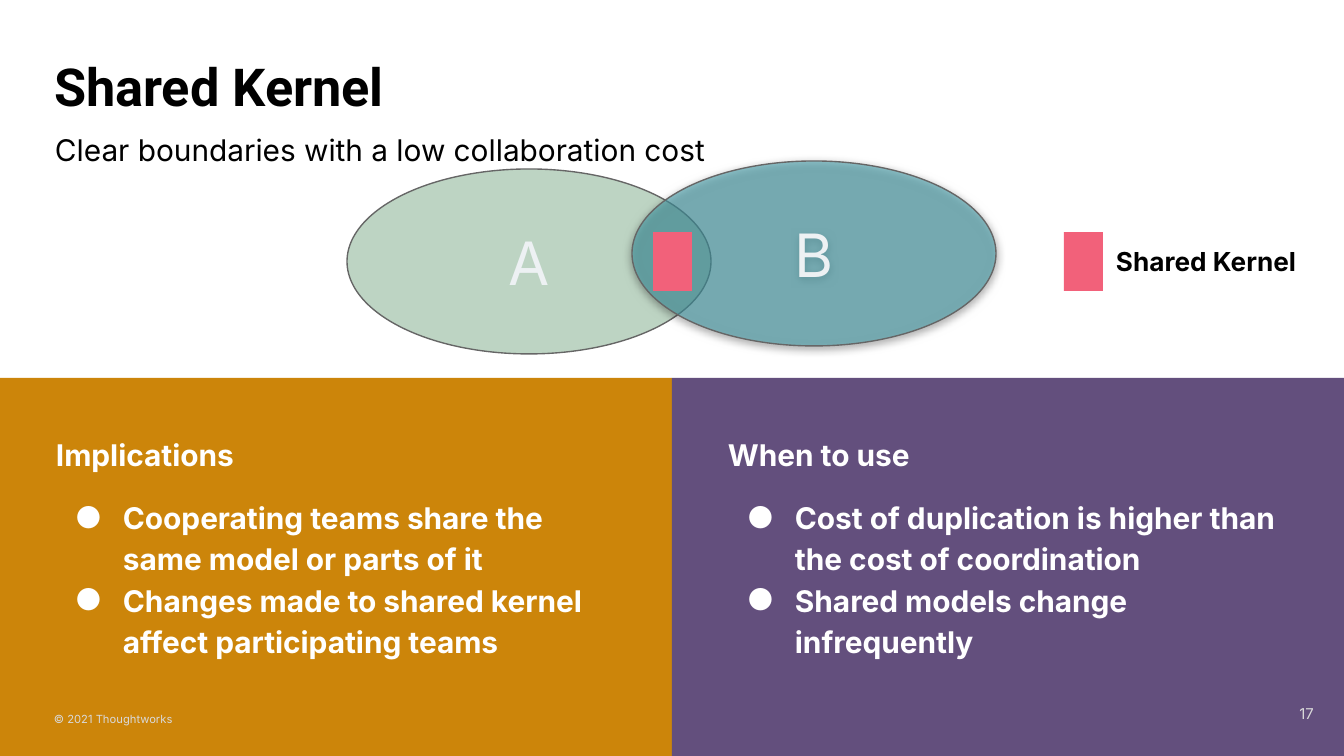
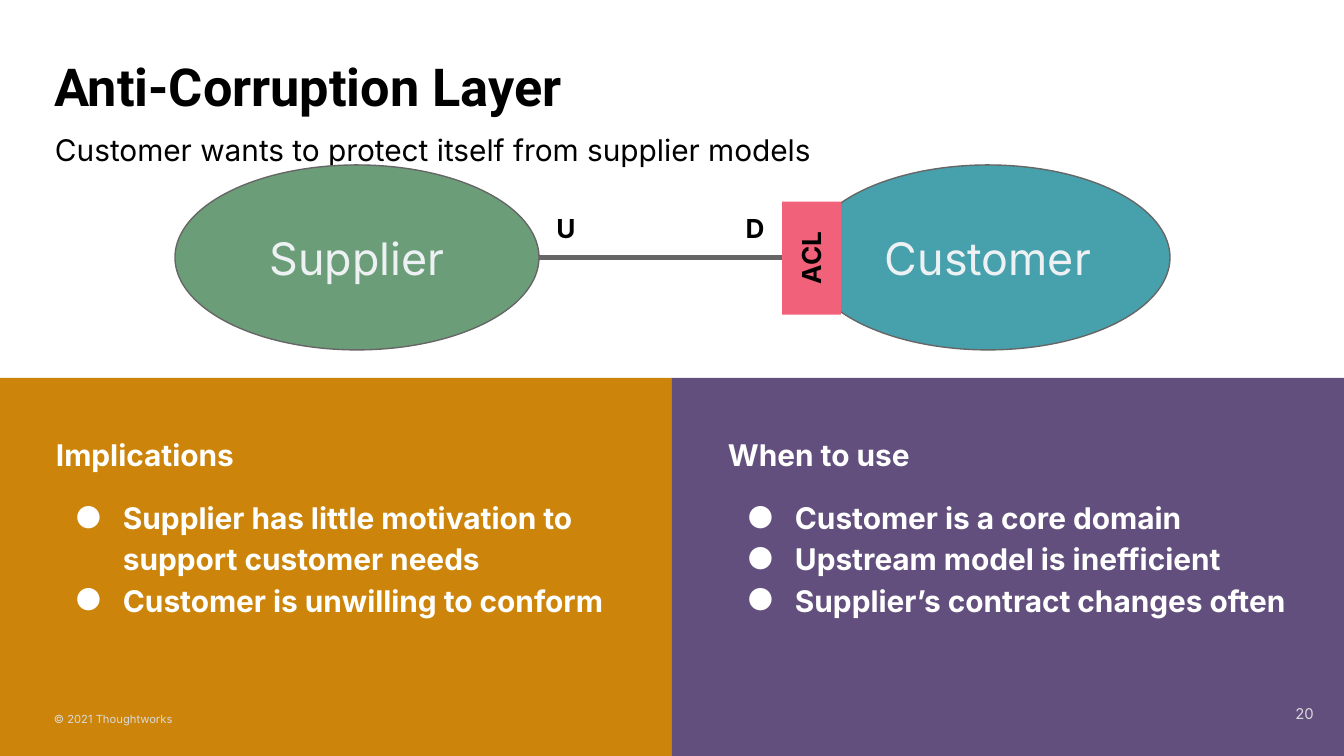
from dataclasses import dataclass

from lxml import etree
from pptx import Presentation
from pptx import util as u
from pptx.dml.color import RGBColor
from pptx.enum import shapes, text
from pptx.oxml.ns import qn

PX_PER_INCH = 134.4
WIDTH, HEIGHT = 1344, 756
BAND_TOP = HEIGHT // 2
INSET = 13
OVAL = (364, 185)
KERNEL = (39, 59)


@dataclass(frozen=True)
class Theme:
    black: str = "000000"
    white: str = "FFFFFF"
    pale: str = "EDF1F3"
    footer: str = "D9D9D9"
    outline: str = "666666"
    amber: str = "CC850A"
    purple: str = "634F7D"
    green: str = "6B9E78"
    teal: str = "47A1AD"
    pink: str = "F2617A"
    heading_font: str = "Roboto"
    body_font: str = "Inter"
    title: int = 28
    letter: int = 32
    name: int = 24
    body: int = 16
    label: int = 14
    number: int = 8
    small: int = 6


THEME = Theme()
ALIGN, ANCHOR = text.PP_ALIGN, text.MSO_ANCHOR


def px(length):
    return u.Emu(round(length * 914400 / PX_PER_INCH))


def apply(target, values):
    for name, value in values.items():
        setattr(target, name, value)


def place(shape, box):
    apply(shape, dict(zip(("left", "top", "width", "height"), map(px, box))))


def within(box, left, top, width, height):
    return box[0] + left, box[1] + top, width, height


def add_xml(parent, tag, **attributes):
    return etree.SubElement(parent, qn(tag), {k: str(v) for k, v in attributes.items()})


# Text

def set_frame(shape, inset=0, anchor=ANCHOR.TOP):
    margins = {f"margin_{side}": px(inset) for side in ("left", "top", "right", "bottom")}
    apply(shape.text_frame, {"word_wrap": True, "auto_size": text.MSO_AUTO_SIZE.NONE,
                             "vertical_anchor": anchor, **margins})
    return shape.text_frame


def write(para, words, size, color, bold=False, font=THEME.body_font,
          align=ALIGN.LEFT, spacing=1.0, before=0, after=0):
    apply(para, {"alignment": align, "line_spacing": spacing,
                 "space_before": u.Pt(before), "space_after": u.Pt(after)})
    span = para.add_run()
    span.text = words
    apply(span.font, {"name": font, "size": u.Pt(size), "bold": bold})
    span.font.color.rgb = RGBColor.from_string(color)


def set_bullet(para, color=None):
    props = para._p.get_or_add_pPr()
    if color is None:
        apply_indent = {"marL": 0, "indent": 0}
        add_xml(props, "a:buNone")
    else:
        apply_indent = {"marL": px(67), "indent": -px(48)}
        add_xml(add_xml(props, "a:buClr"), "a:srgbClr", val=color)
        add_xml(props, "a:buFont", typeface=THEME.body_font)
        add_xml(props, "a:buChar", char="●")
    for name, value in apply_indent.items():
        props.set(name, str(int(value)))


def add_text(page, box, words, size, color, inset=0, anchor=ANCHOR.TOP, **style):
    shape = page.shapes.add_textbox(*map(px, box))
    write(set_frame(shape, inset, anchor).paragraphs[0], words, size, color, **style)


# Shapes

def add_block(page, kind, box, color, outline=None, opacity=None):
    shape = page.shapes.add_shape(kind, *map(px, box))
    shape.shadow.inherit = False
    shape.fill.solid()
    shape.fill.fore_color.rgb = RGBColor.from_string(color)
    if opacity:
        fill = shape.element.spPr.find(qn("a:solidFill"))
        add_xml(fill[0], "a:alpha", val=opacity * 1000)
    if outline:
        shape.line.color.rgb = RGBColor.from_string(outline)
        shape.line.width = u.Pt(0.75)
    else:
        shape.line.fill.background()
    return shape


def add_rect(page, box, color):
    return add_block(page, shapes.MSO_SHAPE.RECTANGLE, box, color)


def add_oval(page, box, color, words, size, opacity=None):
    oval = add_block(page, shapes.MSO_SHAPE.OVAL, box, color, THEME.outline, opacity)
    write(set_frame(oval, INSET, ANCHOR.MIDDLE).paragraphs[0], words, size,
          THEME.pale, align=ALIGN.CENTER)
    return oval


def add_shadow(shape):
    effects = shape.element.spPr.find(qn("a:effectLst"))
    shadow = add_xml(effects, "a:outerShdw", blurRad=u.Pt(4.5), dist=u.Pt(1.5),
                     dir=90 * 60000, algn="bl", rotWithShape=0)
    add_xml(add_xml(shadow, "a:srgbClr", val=THEME.black), "a:alpha", val=50000)


def add_link(page, start, end, top):
    link = page.shapes.add_connector(shapes.MSO_CONNECTOR.STRAIGHT,
                                     *map(px, (start, top, end, top)))
    link.line.color.rgb = RGBColor.from_string(THEME.outline)
    link.line.width = u.Pt(2.25)
    add_xml(link.element.spPr, "a:effectLst")


# Shared page regions

def fill_header(page, box, title, subtitle):
    heading, line = page.shapes.title, page.placeholders[1]
    place(heading, within(box, 0, 0, box[2], 85))
    write(set_frame(heading).paragraphs[0], title, THEME.title, THEME.black,
          bold=True, font=THEME.heading_font)
    place(line, within(box, 1, 72, box[2], 63))
    para = set_frame(line).paragraphs[0]
    set_bullet(para)
    write(para, subtitle, THEME.body, THEME.black, spacing=1.15, after=12)


def fill_panel(page, box, holder, color, heading, points):
    band = add_rect(page, box, color)
    page.shapes.title.element.addprevious(band.element)
    place(holder, within(box, 56, 53, 562, 271))
    frame = set_frame(holder)
    style = {"size": THEME.body, "color": THEME.white, "bold": True, "spacing": 1.15}
    set_bullet(frame.paragraphs[0])
    write(frame.paragraphs[0], heading, **style)
    for index, point in enumerate(points):
        para = frame.add_paragraph()
        set_bullet(para, THEME.white)
        write(para, point, before=0 if index else 12, **style)


def add_footer(page, box, number):
    add_text(page, within(box, 1246, 0, 81, 58), str(number), THEME.number,
             THEME.footer, INSET, ANCHOR.MIDDLE, align=ALIGN.RIGHT)
    add_text(page, within(box, 54, 15, 579, 26), "© 2021 Thoughtworks",
             THEME.small, THEME.footer, anchor=ANCHOR.BOTTOM)


# Diagrams

def draw_shared_kernel(page, box):
    add_oval(page, within(box, 0, 8, *OVAL), THEME.green, "A", THEME.letter, 44)
    add_shadow(add_oval(page, within(box, 285, 0, *OVAL), THEME.teal, "B",
                        THEME.letter, 58))
    for left in (306, 717):
        add_rect(page, within(box, left, 71, *KERNEL), THEME.pink)
    add_text(page, within(box, 756, 71, 222, 59), "Shared Kernel", THEME.label,
             THEME.black, INSET, bold=True)


def draw_anti_corruption(page, box):
    middle = OVAL[1] / 2
    for left, color, words in ((0, THEME.green, "Supplier"),
                               (631, THEME.teal, "Customer")):
        add_oval(page, within(box, left, 0, *OVAL), color, words, THEME.name)
    add_link(page, box[0] + OVAL[0], box[0] + 631, box[1] + middle)
    for left, words in ((364, "U"), (553, "D")):
        add_text(page, within(box, left, 34, 54, 59), words, THEME.label,
                 THEME.black, INSET, bold=True, align=ALIGN.CENTER)
    layer = add_rect(page, within(box, 580, middle - 29, 113, 59), THEME.pink)
    layer.rotation = 270
    write(set_frame(layer, INSET).paragraphs[0], "ACL", THEME.label, THEME.black,
          bold=True, align=ALIGN.CENTER)


def add_pattern_page(deck, title, subtitle, number, implications, uses, draw, box):
    page = deck.slides.add_slide(deck.slide_layouts.get_by_name("Comparison"))
    holders = {holder.placeholder_format.idx: holder for holder in page.placeholders}
    spare = holders[3].element
    spare.getparent().remove(spare)
    fill_header(page, (54, 54, 1235, 135), title, subtitle)
    panels = ((holders[2], THEME.amber, "Implications", implications),
              (holders[4], THEME.purple, "When to use", uses))
    half = WIDTH // 2
    for index, panel in enumerate(panels):
        fill_panel(page, (index * half, BAND_TOP, half, HEIGHT - BAND_TOP), *panel)
    add_footer(page, (0, 685, WIDTH, 58), number)
    draw(page, box)


def main():
    deck = Presentation()
    apply(deck, {"slide_width": px(WIDTH), "slide_height": px(HEIGHT)})
    add_pattern_page(
        deck, "Shared Kernel", "Clear boundaries with a low collaboration cost", 17,
        ["Cooperating teams share the same model or parts of it",
         "Changes made to shared kernel affect participating teams"],
        ["Cost of duplication is higher than the cost of coordination",
         "Shared models change infrequently"],
        draw_shared_kernel, (347, 161, 978, 193))
    add_pattern_page(
        deck, "Anti-Corruption Layer",
        "Customer wants to protect itself from supplier models", 20,
        ["Supplier has little motivation to support customer needs",
         "Customer is unwilling to conform"],
        ["Customer is a core domain", "Upstream model is inefficient",
         "Supplier’s contract changes often"],
        draw_anti_corruption, (175, 165, 995, 185))
    deck.save("out.pptx")


if __name__ == "__main__":
    main()
